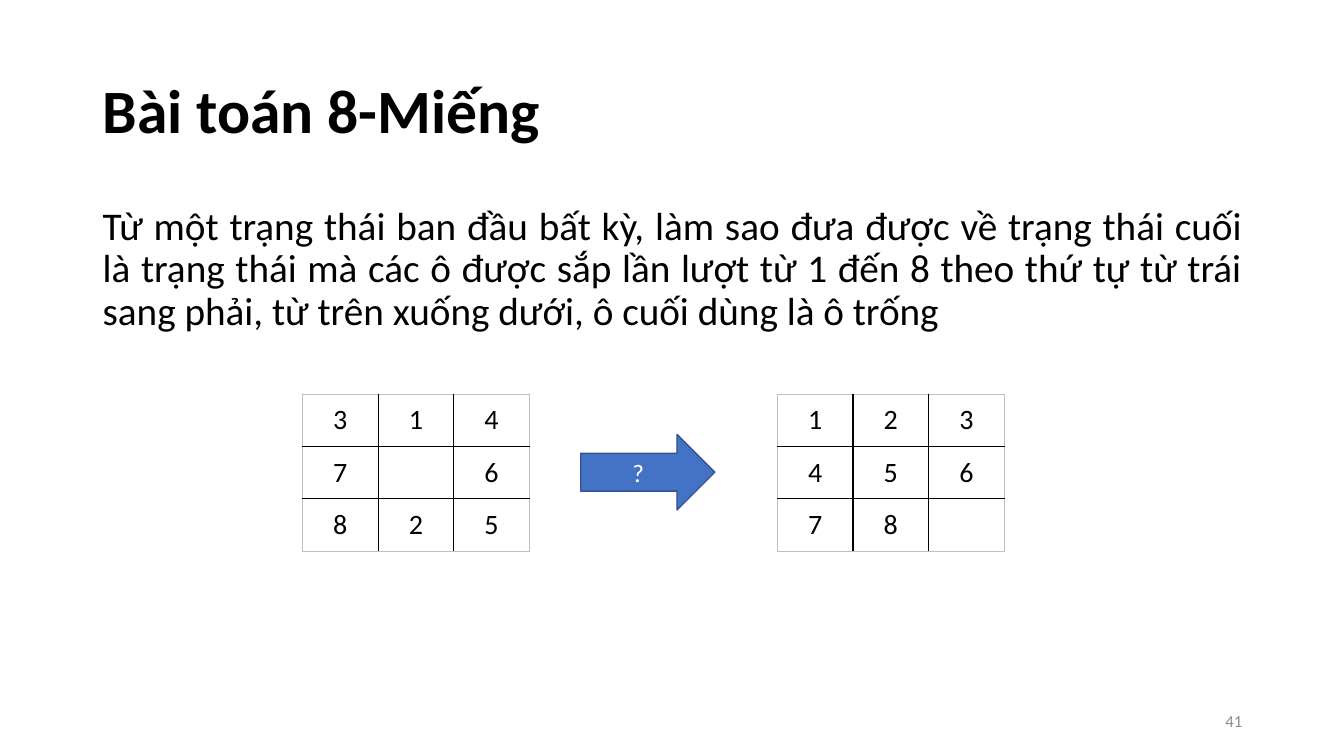
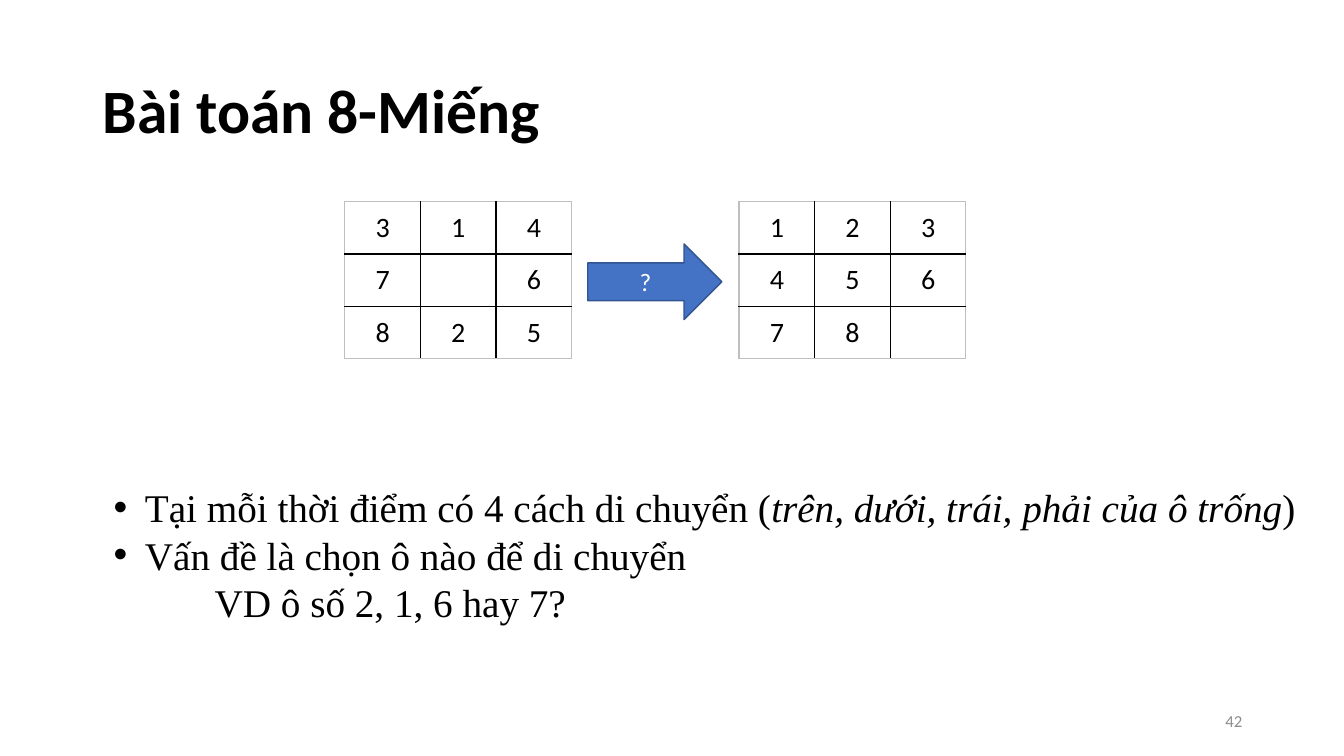
from dataclasses import dataclass

from lxml import etree
from pptx import Presentation
from pptx.dml.color import RGBColor
from pptx.enum import shapes, text
from pptx.oxml import ns
from pptx.util import Inches, Pt

COLORS = {
    "text": "000000",
    "number": "8C8C8C",
    "grid": "000000",
    "frame": "BFBFBF",
    "arrow": "4472C4",
    "arrow_line": "325491",
    "arrow_text": "FFFFFF",
}
SANS, SERIF = "Calibri", "Times New Roman"
TITLE = "Bài toán 8-Miếng"
START = ("314", "7 6", "825")
GOAL = ("123", "456", "78 ")
CELL_W, CELL_H = 0.75, 0.52


@dataclass
class Box:
    left: float
    top: float
    width: float
    height: float

    def emu(self) -> tuple:
        return tuple(Inches(v) for v in (self.left, self.top, self.width, self.height))


@dataclass
class Puzzle:
    start_left: float
    goal_left: float
    top: float
    arrow_left: float
    arrow_top: float


@dataclass
class Style:
    size: int
    color: str = "text"
    font: str = SANS
    bold: bool = False


def rgb(name: str) -> RGBColor:
    return RGBColor.from_string(COLORS[name])


def format_runs(p, style: Style) -> None:
    for r in p.runs:
        r.font.size = Pt(style.size)
        r.font.name = style.font
        r.font.bold = style.bold
        r.font.color.rgb = rgb(style.color)


def add_text(s, box: Box, content: str, style: Style, align=text.PP_ALIGN.LEFT,
             anchor=text.MSO_ANCHOR.MIDDLE, spacing: float = 1.0):
    tf = s.shapes.add_textbox(*box.emu()).text_frame
    tf.word_wrap = True
    tf.vertical_anchor = anchor
    tf.text = content
    for p in tf.paragraphs:
        p.alignment = align
        p.line_spacing = spacing
        format_runs(p, style)
    return tf


def add_border(cell, side: str, color: str) -> None:
    ln = etree.SubElement(cell._tc.get_or_add_tcPr(), ns.qn(f"a:ln{side}"), w=str(Pt(1)))
    fill = etree.SubElement(ln, ns.qn("a:solidFill"))
    etree.SubElement(fill, ns.qn("a:srgbClr"), val=COLORS[color])


def add_board(s, left: float, top: float, tiles: tuple) -> None:
    """Draw a board of tiles; a space is the empty square."""
    n = len(tiles)
    box = Box(left, top, n * CELL_W, n * CELL_H)
    table = s.shapes.add_table(n, n, *box.emu()).table
    table.first_row = table.horz_banding = False
    for i in range(n):
        table.columns[i].width = Inches(CELL_W)
        table.rows[i].height = Inches(CELL_H)
    for row, line in enumerate(tiles):
        for col, tile in enumerate(line):
            cell = table.cell(row, col)
            cell.text = tile.strip()
            cell.vertical_anchor = text.MSO_ANCHOR.MIDDLE
            p = cell.text_frame.paragraphs[0]
            p.alignment = text.PP_ALIGN.CENTER
            format_runs(p, Style(20))
            outer = {"L": col == 0, "R": col == n - 1, "T": row == 0, "B": row == n - 1}
            for side, is_outer in outer.items():
                add_border(cell, side, "frame" if is_outer else "grid")
            cell.fill.background()


def add_puzzle(s, puzzle: Puzzle) -> None:
    add_board(s, puzzle.goal_left, puzzle.top, GOAL)
    add_board(s, puzzle.start_left, puzzle.top, START)
    box = Box(puzzle.arrow_left, puzzle.arrow_top, 1.33, 0.75)
    sp = s.shapes.add_shape(shapes.MSO_SHAPE.RIGHT_ARROW, *box.emu())
    sp.shadow.inherit = False
    sp.fill.solid()
    sp.fill.fore_color.rgb = rgb("arrow")
    sp.line.color.rgb = rgb("arrow_line")
    sp.line.width = Pt(1)
    tf = sp.text_frame
    tf.text = "?"
    tf.vertical_anchor = text.MSO_ANCHOR.MIDDLE
    p = tf.paragraphs[0]
    p.alignment = text.PP_ALIGN.CENTER
    format_runs(p, Style(18, "arrow_text"))


def indent(p, left: float, bullet: bool) -> None:
    pPr = p._p.get_or_add_pPr()
    pPr.set("marL", str(Inches(left)))
    if bullet:
        pPr.set("indent", str(-Inches(left)))
        etree.SubElement(pPr, ns.qn("a:buFont"), typeface="Arial")
        etree.SubElement(pPr, ns.qn("a:buChar"), char="•")


def add_slide(prs, number: int):
    """Add a slide with the shared title and slide number."""
    s = prs.slides.add_slide(prs.slide_layouts[6])
    add_text(s, Box(0.92, 0.4, 11.5, 1.45), TITLE, Style(44, bold=True), spacing=0.9)
    add_text(s, Box(9.42, 6.95, 3, 0.4), str(number), Style(12, "number"),
             text.PP_ALIGN.RIGHT)
    return s


def add_problem_slide(prs) -> None:
    s = add_slide(prs, 41)
    add_text(s, Box(0.92, 2, 11.5, 4.76),
             "Từ một trạng thái ban đầu bất kỳ, làm sao đưa được về trạng thái cuối "
             "là trạng thái mà các ô được sắp lần lượt từ 1 đến 8 theo thứ tự từ trái "
             "sang phải, từ trên xuống dưới, ô cuối dùng là ô trống",
             Style(28), text.PP_ALIGN.JUSTIFY, text.MSO_ANCHOR.TOP, 0.9)
    add_puzzle(s, Puzzle(3, 7.71, 3.91, 5.76, 4.31))


def add_moves_slide(prs) -> None:
    s = add_slide(prs, 42)
    style = Style(28, font=SERIF)
    tf = add_text(s, Box(1.03, 4.75, 12.2, 1.51),
                  "Tại mỗi thời điểm có 4 cách di chuyển (\n"
                  "Vấn đề là chọn ô nào để di chuyển\n"
                  "VD ô số 2, 1, 6 hay 7?",
                  style, anchor=text.MSO_ANCHOR.TOP)
    tf.auto_size = text.MSO_AUTO_SIZE.SHAPE_TO_FIT_TEXT
    moves, choice, example = tf.paragraphs
    directions = moves.add_run()
    directions.text = "trên, dưới, trái, phải của ô trống"
    directions.font.italic = True
    moves.add_run().text = ")"
    format_runs(moves, style)
    indent(moves, 0.31, True)
    indent(choice, 0.31, True)
    indent(example, 1, False)
    add_puzzle(s, Puzzle(3.42, 7.33, 2, 5.83, 2.42))


def main() -> None:
    prs = Presentation()
    prs.slide_width, prs.slide_height = Inches(13.33), Inches(7.5)
    add_problem_slide(prs)
    add_moves_slide(prs)
    prs.save("out.pptx")


if __name__ == "__main__":
    main()
